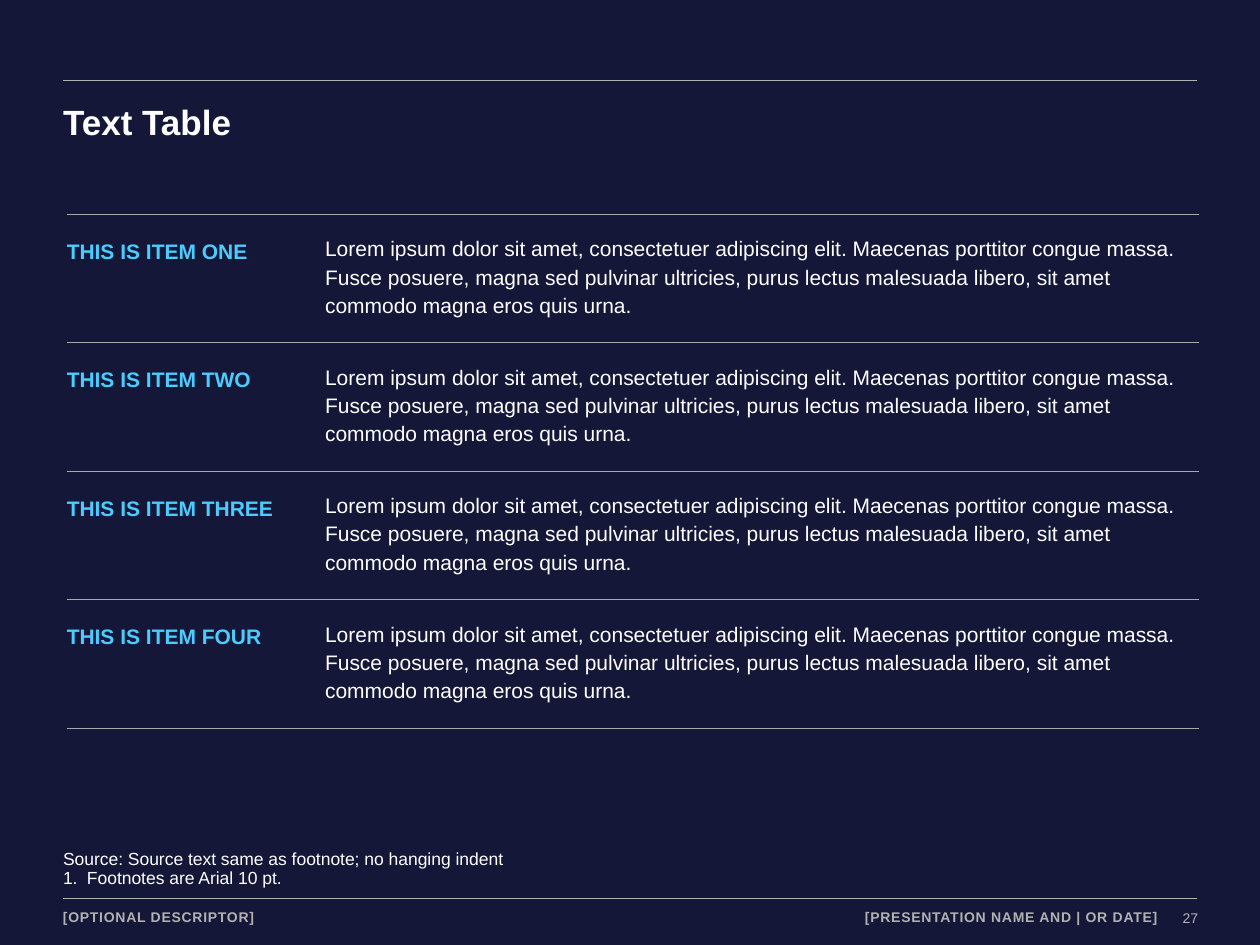
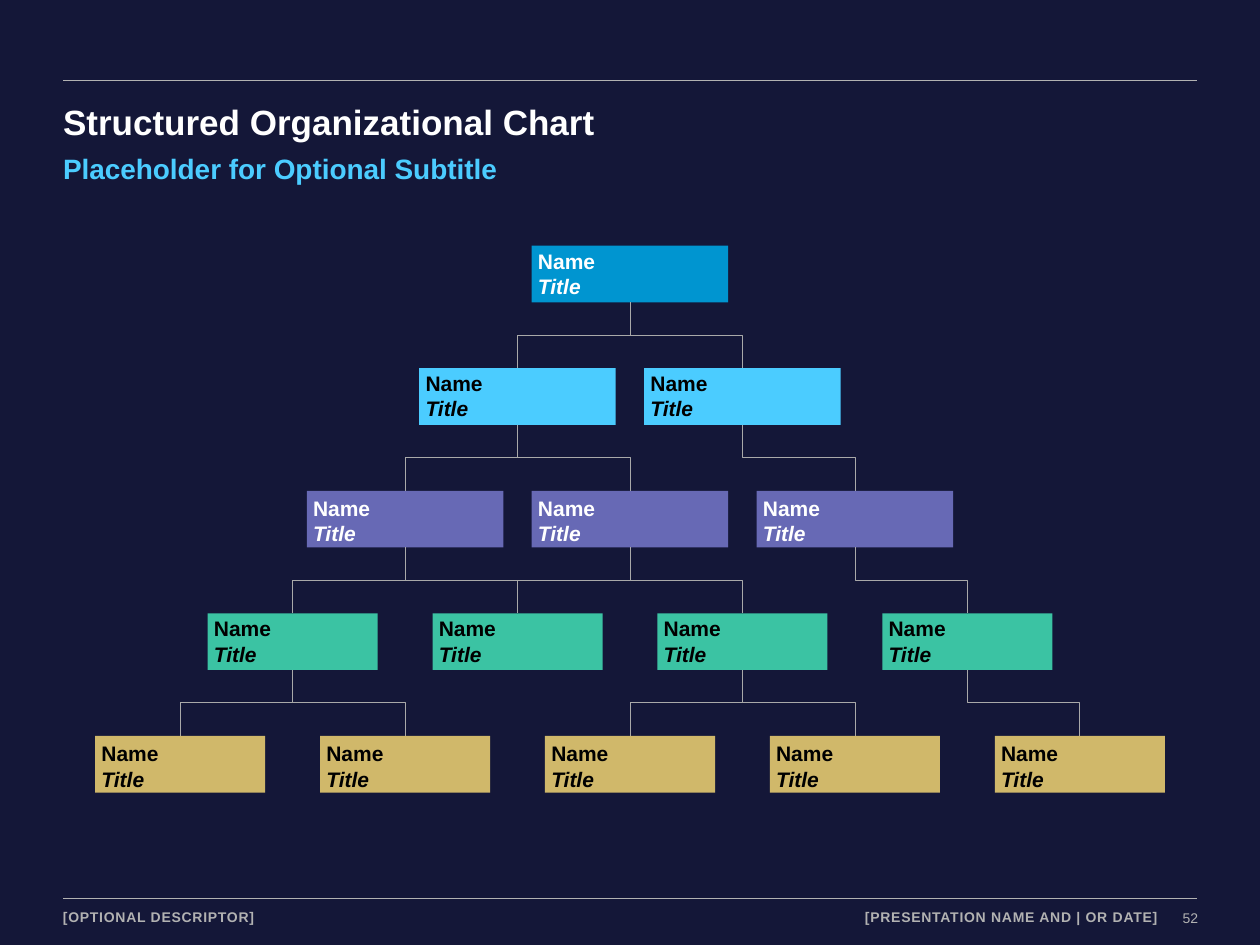
"""Build a text table slide and an organizational chart slide in one dark style."""
from dataclasses import dataclass
from typing import Any, NamedTuple

from lxml import etree
from pptx import Presentation
from pptx import util as u
from pptx.dml.color import RGBColor
from pptx.enum import shapes, text
from pptx.oxml import ns

NAVY = RGBColor(0x14, 0x17, 0x38)
WHITE = RGBColor(0xFF, 0xFF, 0xFF)
BLACK = RGBColor(0x00, 0x00, 0x00)
SILVER = RGBColor(0xB2, 0xB2, 0xB2)
GRAY = RGBColor(0xA9, 0xA9, 0xA9)
SKY = RGBColor(0x4B, 0xCC, 0xFF)
BLUE = RGBColor(0x00, 0x95, 0xD0)
VIOLET = RGBColor(0x67, 0x69, 0xB5)
GREEN = RGBColor(0x3B, 0xC3, 0xA3)
GOLD = RGBColor(0xD0, 0xB8, 0x6A)

LEFT, RIGHT, CONTENT_WIDTH = 0.5, 9.5, 8.99
TITLE_ONLY = 5

ITEMS = ("ONE", "TWO", "THREE", "FOUR")
ITEM_TEXT = (
    "Lorem ipsum dolor sit amet, consectetuer adipiscing elit. Maecenas porttitor congue massa. "
    "Fusce posuere, magna sed pulvinar ultricies, purus lectus malesuada libero, sit amet "
    "commodo magna eros quis urna."
)
TABLE_COLUMNS = (1.95, 7.04)
TABLE_ROW = 0.97

BOX_HEIGHT = 0.45
CHART_TOP, CHART_CENTER = 1.95, 5
LEVEL_PITCH = 3.89 / 4
BOX_PITCH = 7.14 / 4


class Style(NamedTuple):
    size: float
    color: RGBColor
    bold: bool = False
    italic: bool = False
    tracking: int = 0


class Area(NamedTuple):
    left: float
    top: float
    width: float
    height: float

    def lengths(self) -> list[u.Length]:
        return [u.Inches(value) for value in self]


@dataclass(frozen=True)
class Label:
    words: str
    area: Area
    style: Style
    align: Any = text.PP_ALIGN.LEFT
    wrap: bool = True


@dataclass(frozen=True)
class Level:
    count: int
    width: float
    fill: RGBColor
    ink: RGBColor
    centered: bool
    children: tuple[tuple[int, ...], ...] = ()


TITLE_STYLE = Style(20, WHITE, True)
SUBTITLE_STYLE = Style(16, SKY, True)
FOOTER_STYLE = Style(8, SILVER, True, tracking=40)
NUMBER_STYLE = Style(8, SILVER)
NOTE_STYLE = Style(10, WHITE)

FOOTERS = (
    Label("[OPTIONAL DESCRIPTOR]", Area(LEFT, 7.21, 3.1, 0.15), FOOTER_STYLE, wrap=False),
    Label("[PRESENTATION NAME AND | OR DATE]", Area(5.19, 7.21, 4, 0.15), FOOTER_STYLE,
          text.PP_ALIGN.RIGHT),
)

LEVELS = (
    Level(1, 1.56, BLUE, WHITE, True, ((0, 1),)),
    Level(2, 1.56, SKY, BLACK, True, ((0, 1), (2,))),
    Level(3, 1.56, VIOLET, WHITE, False, ((0, 1), (1, 2), (3,))),
    Level(4, 1.35, GREEN, BLACK, True, ((0, 1), (), (2, 3), (4,))),
    Level(5, 1.35, GOLD, BLACK, False),
)


def apply(target: Any, values: dict[str, Any]) -> None:
    """Set each named attribute on the target."""
    for name, value in values.items():
        setattr(target, name, value)


def set_margins(target: Any, *sides: float) -> None:
    """Set the left, top, right and bottom insets in inches."""
    names = ("margin_left", "margin_top", "margin_right", "margin_bottom")
    apply(target, {name: u.Inches(side) for name, side in zip(names, sides)})


def write(para: Any, words: str, style: Style, **layout: Any) -> None:
    """Put one styled run into a paragraph."""
    apply(para, {"alignment": text.PP_ALIGN.LEFT, **layout})
    span = para.add_run()
    span.text = words
    apply(span.font, {"name": "Arial", "size": u.Pt(style.size),
                      "bold": style.bold, "italic": style.italic})
    span.font.color.rgb = style.color
    if style.tracking:
        span.font._element.set("spc", str(style.tracking))


def add_label(page: Any, label: Label, **layout: Any) -> Any:
    """Add a text box without insets and return its text frame."""
    frame = page.shapes.add_textbox(*label.area.lengths()).text_frame
    frame.word_wrap = label.wrap
    set_margins(frame, 0, 0, 0, 0)
    write(frame.paragraphs[0], label.words, label.style, alignment=label.align, **layout)
    return frame


def add_line(page: Any, kind: Any, start: tuple[float, float], end: tuple[float, float],
             color: RGBColor, weight: float) -> Any:
    """Add a connector without a shadow."""
    line = page.shapes.add_connector(kind, *(u.Inches(value) for value in (*start, *end)))
    line.line.color.rgb = color
    line.line.width = u.Pt(weight)
    etree.SubElement(line._element.spPr, ns.qn("a:effectLst"))
    return line


def add_page(deck: Any, title: str, number: int) -> Any:
    """Add a slide with the shared rules, footers and title."""
    page = deck.slides.add_slide(deck.slide_layouts[TITLE_ONLY])
    for y in (0.64, 7.13):
        add_line(page, shapes.MSO_CONNECTOR.STRAIGHT, (LEFT, y), (RIGHT, y), SILVER, 1)
    page_number = Label(str(number), Area(9.37, 7.22, 0.14, 0.13), NUMBER_STYLE,
                        text.PP_ALIGN.RIGHT, False)
    for label in (page_number, *FOOTERS):
        add_label(page, label)
    heading = page.shapes.title
    area = Area(LEFT, 0.8, CONTENT_WIDTH, 0.34).lengths()
    apply(heading, dict(zip(("left", "top", "width", "height"), area)))
    frame = heading.text_frame
    apply(frame, {"word_wrap": True, "vertical_anchor": text.MSO_ANCHOR.TOP,
                  "auto_size": text.MSO_AUTO_SIZE.SHAPE_TO_FIT_TEXT})
    set_margins(frame, 0, 0, 0, 0)
    write(frame.paragraphs[0], title, TITLE_STYLE)
    return page


def add_footnotes(page: Any) -> None:
    """Add the source line and the numbered footnote."""
    source = Label("Source: Source text same as footnote; no hanging indent",
                   Area(LEFT, 6.75, CONTENT_WIDTH, 0.32), NOTE_STYLE)
    frame = add_label(page, source, line_spacing=0.9)
    frame.vertical_anchor = text.MSO_ANCHOR.BOTTOM
    frame.margin_bottom = u.Inches(0.02)
    para = frame.add_paragraph()
    write(para, "Footnotes are Arial 10 pt.", NOTE_STYLE, line_spacing=0.9)
    props = para._p.get_or_add_pPr()
    indent = u.Inches(0.19)
    props.set("marL", str(indent))
    props.set("indent", str(-indent))
    color = etree.SubElement(props, ns.qn("a:buClr"))
    etree.SubElement(color, ns.qn("a:srgbClr"), val=str(WHITE))
    etree.SubElement(props, ns.qn("a:buFont"), typeface="Arial")
    etree.SubElement(props, ns.qn("a:buAutoNum"), type="arabicPeriod")


def rule_cell(cell: Any) -> None:
    """Clear a cell's fill and give it top and bottom borders only."""
    cell.fill.background()
    props = cell._tc.get_or_add_tcPr()
    for place, side in enumerate(("lnL", "lnR", "lnT", "lnB")):
        border = etree.Element(ns.qn(f"a:{side}"), w=str(u.Pt(0.5)))
        if side in ("lnT", "lnB"):
            fill = etree.SubElement(border, ns.qn("a:solidFill"))
            etree.SubElement(fill, ns.qn("a:srgbClr"), val=str(GRAY))
        else:
            etree.SubElement(border, ns.qn("a:noFill"))
        props.insert(place, border)


def add_item_table(page: Any) -> None:
    """Add the ruled table of items and descriptions."""
    area = Area(0.53, 1.7, sum(TABLE_COLUMNS), TABLE_ROW * len(ITEMS))
    table = page.shapes.add_table(len(ITEMS), len(TABLE_COLUMNS), *area.lengths()).table
    apply(table, {"first_row": False, "horz_banding": False})
    for column, width in zip(table.columns, TABLE_COLUMNS):
        column.width = u.Inches(width)
    for row, item in zip(table.rows, ITEMS):
        entries = ((f"THIS IS ITEM {item}", Style(12, SKY, True), 1.3, 0),
                   (ITEM_TEXT, Style(12, WHITE), 1.2, 0.1))
        for cell, (words, style, spacing, inset) in zip(row.cells, entries):
            set_margins(cell, inset, 0.15, 0.1, 0.15)
            write(cell.text_frame.paragraphs[0], words, style, line_spacing=spacing)
            rule_cell(cell)


def box_center(depth: int, index: int) -> float:
    """Return the horizontal center of a box in a level."""
    return CHART_CENTER + (index - (LEVELS[depth].count - 1) / 2) * BOX_PITCH


def level_top(depth: int) -> float:
    """Return the top of a level."""
    return CHART_TOP + depth * LEVEL_PITCH


def add_person(page: Any, depth: int, index: int) -> None:
    """Add one name and title box."""
    level = LEVELS[depth]
    area = Area(box_center(depth, index) - level.width / 2, level_top(depth),
                level.width, BOX_HEIGHT)
    box = page.shapes.add_shape(shapes.MSO_SHAPE.RECTANGLE, *area.lengths())
    box.shadow.inherit = False
    box.fill.solid()
    box.fill.fore_color.rgb = level.fill
    box.line.fill.background()
    frame = box.text_frame
    anchor = text.MSO_ANCHOR.MIDDLE if level.centered else text.MSO_ANCHOR.TOP
    apply(frame, {"vertical_anchor": anchor, "word_wrap": not level.centered})
    set_margins(frame, 0.05, 0.04, 0.05, 0.05)
    write(frame.paragraphs[0], "Name", Style(12, level.ink, True))
    write(frame.add_paragraph(), "Title", Style(12, level.ink, True, True))


def add_branch(page: Any, depth: int, parent: int, child: int) -> None:
    """Add a bent connector that leaves a parent downwards and enters a child."""
    start, end = box_center(depth, parent), box_center(depth + 1, child)
    top, bottom = level_top(depth) + BOX_HEIGHT, level_top(depth + 1)
    half_drop, half_span = (bottom - top) / 2, abs(end - start) / 2
    x, y = (start + end) / 2, (top + bottom) / 2
    branch = add_line(page, shapes.MSO_CONNECTOR.ELBOW, (x - half_drop, y - half_span),
                      (x + half_drop, y + half_span), GRAY, 0.5)
    frame = branch._element.spPr.find(ns.qn("a:xfrm"))
    turn = 90 if end < start else 270
    frame.set("rot", str(turn * 60000))
    if end > start:
        frame.set("flipH", "1")


def add_org_chart(page: Any) -> None:
    """Add every level of boxes and the branches between them."""
    for depth, level in enumerate(LEVELS):
        for index in range(level.count):
            add_person(page, depth, index)
        for parent, children in enumerate(level.children):
            for child in children:
                add_branch(page, depth, parent, child)


def main() -> None:
    """Build and save the deck."""
    deck = Presentation()
    apply(deck, {"slide_width": u.Inches(10), "slide_height": u.Inches(7.5)})
    backdrop = deck.slide_master.background.fill
    backdrop.solid()
    backdrop.fore_color.rgb = NAVY

    table_page = add_page(deck, "Text Table", 27)
    add_footnotes(table_page)
    add_item_table(table_page)

    chart_page = add_page(deck, "Structured Organizational Chart", 52)
    add_org_chart(chart_page)
    subtitle = Label("Placeholder for Optional Subtitle",
                     Area(LEFT, 1.2, CONTENT_WIDTH, 0.27), SUBTITLE_STYLE)
    add_label(chart_page, subtitle, space_before=u.Pt(10), space_after=u.Pt(6))
    deck.save("out.pptx")


if __name__ == "__main__":
    main()
